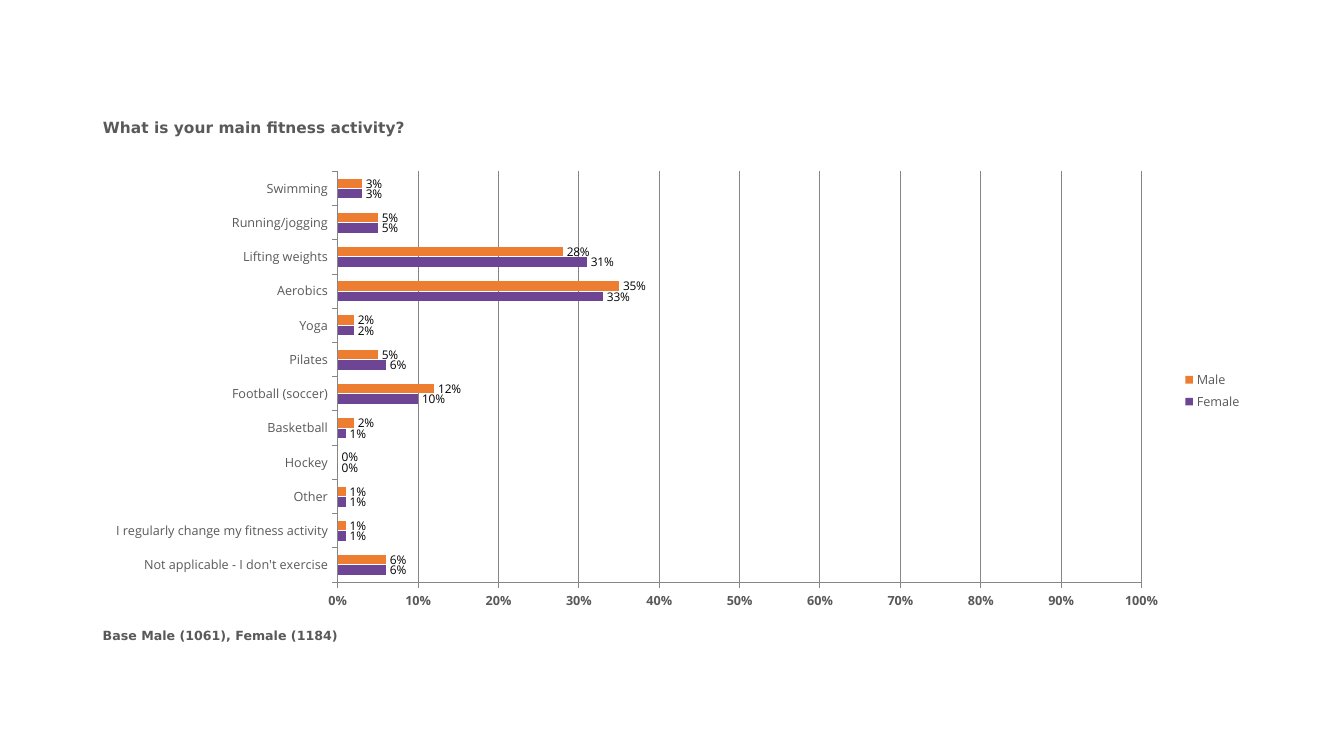
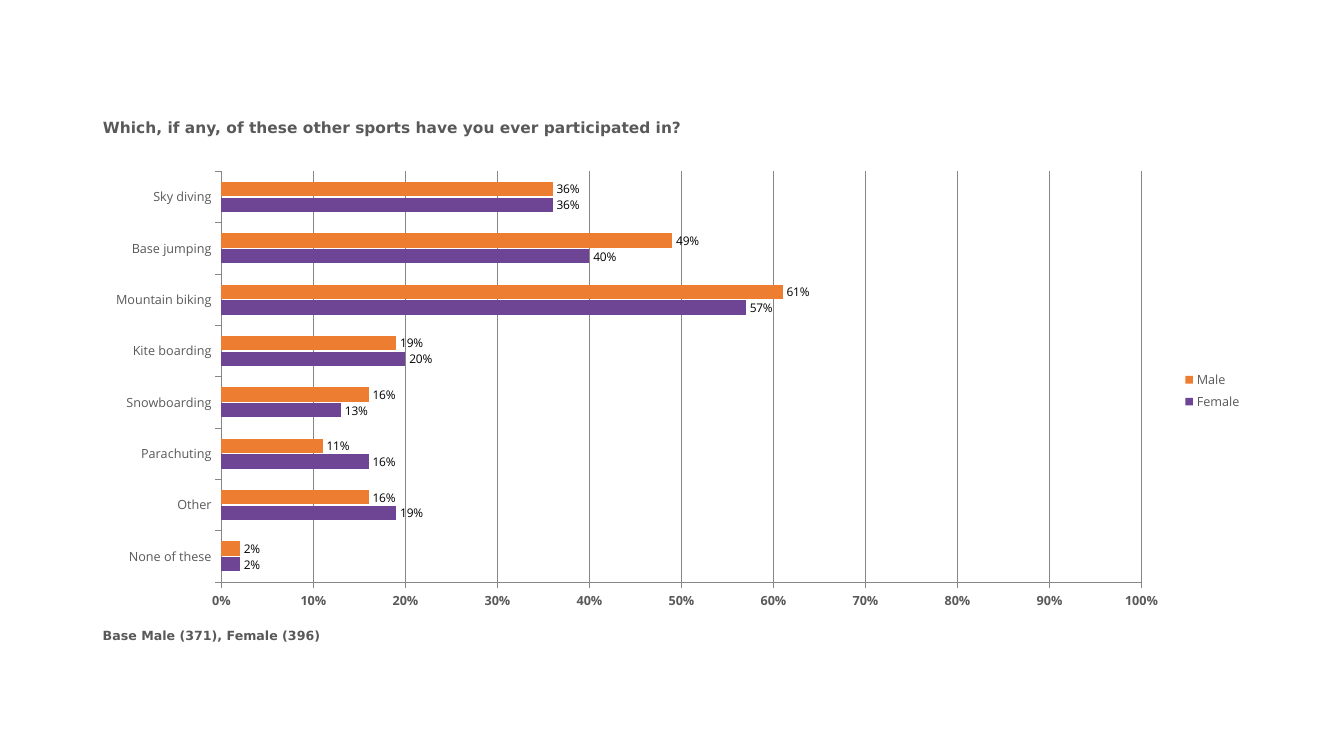
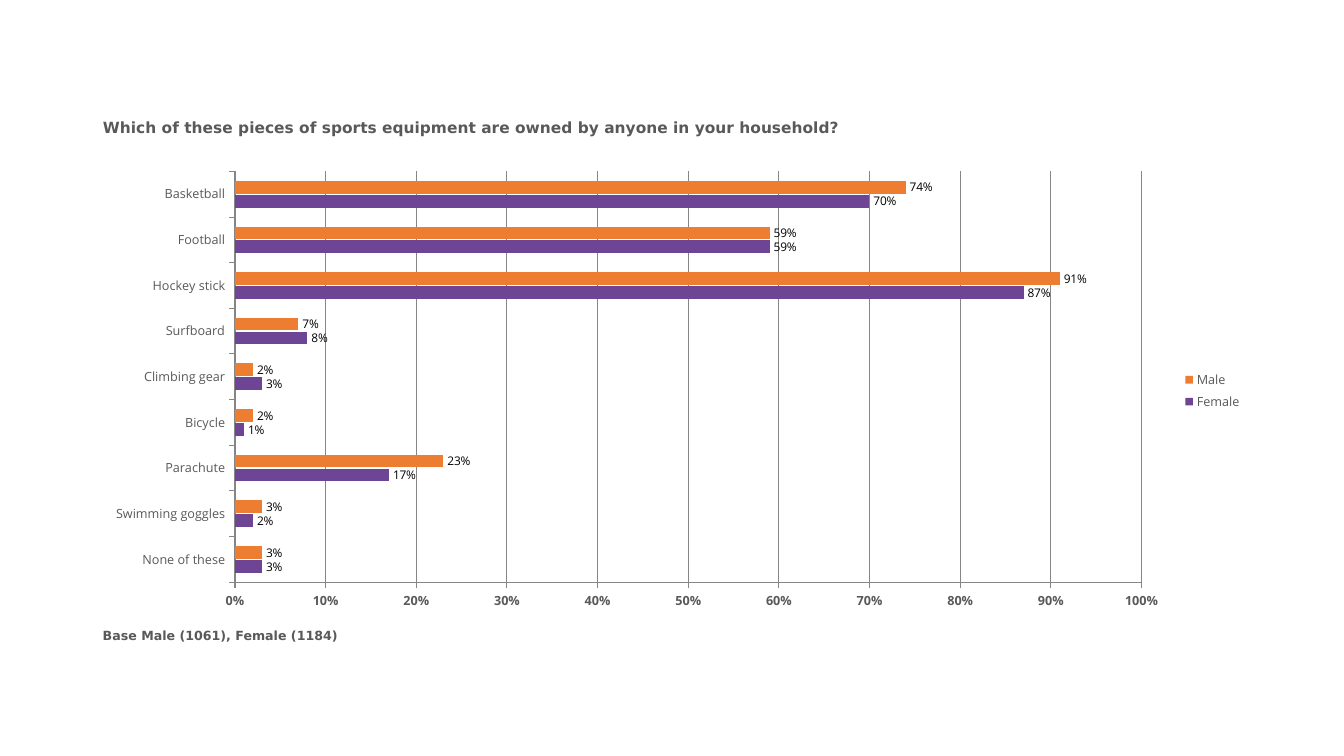
import dataclasses
import pptx
import pptx.chart.data
import pptx.dml.color
import pptx.enum.chart
import pptx.enum.text
import pptx.util

Cm, Pt = pptx.util.Cm, pptx.util.Pt
RGB = pptx.dml.color.RGBColor.from_string


@dataclasses.dataclass(frozen=True)
class Theme:
    """Colours, fonts and type sizes of the deck."""
    grey: str = "595959"
    line: str = "868686"
    black: str = "000000"
    male: str = "ED7D31"
    female: str = "6E4595"
    head: str = "DejaVu Sans"
    label: str = "Open Sans"
    base: str = "Calibri"
    big: float = 18
    title: float = 11
    small: float = 9
    value: float = 8.5


theme = Theme()
left, width = Cm(2.34), Cm(29.21)


def style(font, face, size, colour, bold=False):
    """Set the face, size, colour and weight of a font."""
    font.name, font.size, font.bold = face, Pt(size), bold
    font.color.rgb = RGB(colour)


def write(shape, text, size):
    """Put one bold grey line at the top left of a shape."""
    frame = shape.text_frame
    frame.word_wrap = True
    frame.auto_size = pptx.enum.text.MSO_AUTO_SIZE.NONE
    frame.vertical_anchor = pptx.enum.text.MSO_ANCHOR.TOP
    line = frame.paragraphs[0]
    line.alignment = pptx.enum.text.PP_ALIGN.LEFT
    run = line.add_run()
    run.text = text
    style(run.font, theme.head, size, theme.grey, True)


# Each row: answer, male share, female share, from top to bottom
polls = [
    ("What is your main fitness activity?", "Base Male (1061), Female (1184)", [
        ("Swimming", 0.03, 0.03),
        ("Running/jogging", 0.05, 0.05),
        ("Lifting weights", 0.28, 0.31),
        ("Aerobics", 0.35, 0.33),
        ("Yoga", 0.02, 0.02),
        ("Pilates", 0.05, 0.06),
        ("Football (soccer)", 0.12, 0.1),
        ("Basketball", 0.02, 0.01),
        ("Hockey", 0, 0),
        ("Other", 0.01, 0.01),
        ("I regularly change my fitness activity", 0.01, 0.01),
        ("Not applicable - I don't exercise", 0.06, 0.06),
    ]),
    ("Which, if any, of these other sports have you ever participated in?",
     "Base Male (371), Female (396)", [
        ("Sky diving", 0.36, 0.36),
        ("Base jumping", 0.49, 0.4),
        ("Mountain biking", 0.61, 0.57),
        ("Kite boarding", 0.19, 0.2),
        ("Snowboarding", 0.16, 0.13),
        ("Parachuting", 0.11, 0.16),
        ("Other", 0.16, 0.19),
        ("None of these", 0.02, 0.02),
     ]),
    ("Which of these pieces of sports equipment are owned by anyone in your household?",
     "Base Male (1061), Female (1184)", [
        ("Basketball", 0.74, 0.7),
        ("Football", 0.59, 0.59),
        ("Hockey stick", 0.91, 0.87),
        ("Surfboard", 0.07, 0.08),
        ("Climbing gear", 0.02, 0.03),
        ("Bicycle", 0.02, 0.01),
        ("Parachute", 0.23, 0.17),
        ("Swimming goggles", 0.03, 0.02),
        ("None of these", 0.03, 0.03),
     ]),
]

deck = pptx.Presentation()
deck.slide_width, deck.slide_height = Cm(33.87), Cm(19.05)
layout = deck.slide_layouts.get_by_name("Title Only")

for question, base, rows in polls:
    slide = deck.slides.add_slide(layout)
    title = slide.shapes.title
    title.left, title.top = left, Cm(2.84)
    title.width, title.height = width, Cm(1.3)
    write(title, question, theme.title)
    note = slide.shapes.add_textbox(left, Cm(15.7), width, Cm(1.09))
    write(note, base, theme.small)

    # Bar charts count upwards, so the rows go in from the bottom
    names, men, women = zip(*reversed(rows))
    data = pptx.chart.data.CategoryChartData(number_format="0%")
    data.categories = names
    data.add_series("Female", women)
    data.add_series("Male", men)
    chart = slide.shapes.add_chart(
        pptx.enum.chart.XL_CHART_TYPE.BAR_CLUSTERED,
        left, Cm(4.09), width, Cm(11.51), data).chart
    chart.has_title = False
    style(chart.font, theme.base, theme.big, theme.black)

    chart.has_legend = True
    chart.legend.position = pptx.enum.chart.XL_LEGEND_POSITION.RIGHT
    chart.legend.include_in_layout = False
    style(chart.legend.font, theme.label, theme.small, theme.grey)

    scale = chart.value_axis
    scale.minimum_scale, scale.maximum_scale, scale.major_unit = 0, 1, 0.1
    scale.has_major_gridlines = True
    scale.tick_labels.number_format = "0%"
    scale.tick_labels.number_format_is_linked = False
    for axis in (chart.category_axis, scale):
        axis.major_tick_mark = pptx.enum.chart.XL_TICK_MARK.OUTSIDE
        axis.minor_tick_mark = pptx.enum.chart.XL_TICK_MARK.NONE
        axis.tick_label_position = pptx.enum.chart.XL_TICK_LABEL_POSITION.LOW
        style(axis.tick_labels.font, theme.label, theme.small, theme.grey, axis is scale)
    for part in (chart.category_axis, scale, scale.major_gridlines):
        part.format.line.color.rgb = RGB(theme.line)
        part.format.line.width = Pt(0.75)

    plot = chart.plots[0]
    plot.gap_width, plot.overlap = 150, -10
    plot.vary_by_categories = False
    for bars, colour in zip(plot.series, (theme.female, theme.male)):
        bars.invert_if_negative = False
        bars.format.fill.solid()
        bars.format.fill.fore_color.rgb = RGB(colour)
        marks = bars.data_labels
        marks.show_value = True
        marks.position = pptx.enum.chart.XL_LABEL_POSITION.OUTSIDE_END
        marks.number_format = "0%"
        marks.number_format_is_linked = False
        style(marks.font, theme.label, theme.value, theme.black)

deck.save("out.pptx")
